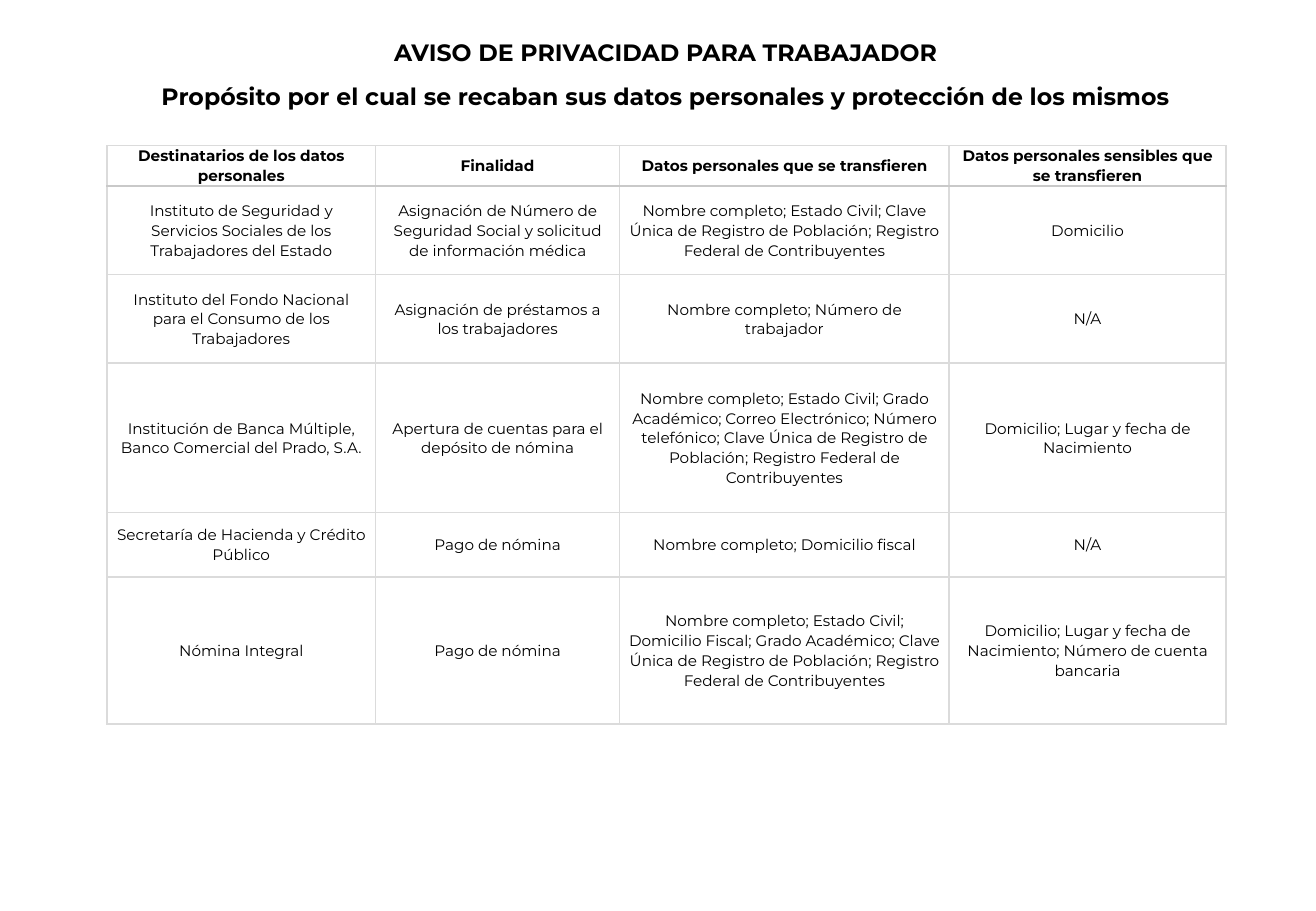
from dataclasses import dataclass

from lxml import etree
from pptx import Presentation
from pptx.dml.color import RGBColor
from pptx.enum.text import MSO_ANCHOR, MSO_AUTO_SIZE, PP_ALIGN
from pptx.oxml.ns import qn
from pptx.util import Inches, Pt

CENTER = PP_ALIGN.CENTER
MIDDLE = MSO_ANCHOR.MIDDLE
GROW = MSO_AUTO_SIZE.SHAPE_TO_FIT_TEXT


@dataclass(frozen=True)
class Theme:
    """Colours, font and type sizes of the slide."""
    font: str = "Montserrat"
    ink: str = "000000"
    grid: str = "DBDBDB"
    header_rule: str = "C9C9C9"
    title_size: float = 14
    table_size: float = 9
    grid_width: float = 1
    header_width: float = 1.5


THEME = Theme()

TITLES = [
    "AVISO DE PRIVACIDAD PARA TRABAJADOR",
    "Propósito por el cual se recaban sus datos personales y protección de los mismos",
]
COLUMN_WIDTHS = [2.21, 2.01, 2.71, 2.28]
ROW_HEIGHTS = [0.33, 0.73, 0.73, 1.23, 0.53, 1.21]
TRANSFERS = [
    ["Destinatarios de los datos personales",
     "Finalidad",
     "Datos personales que se transfieren",
     "Datos personales sensibles que se transfieren"],
    ["Instituto de Seguridad y Servicios Sociales de los Trabajadores del Estado",
     "Asignación de Número de Seguridad Social y solicitud de información médica",
     "Nombre completo; Estado Civil; Clave Única de Registro de Población; "
     "Registro Federal de Contribuyentes",
     "Domicilio"],
    ["Instituto del Fondo Nacional para el Consumo de los Trabajadores",
     "Asignación de préstamos a los trabajadores",
     "Nombre completo; Número de trabajador",
     "N/A"],
    ["Institución de Banca Múltiple, Banco Comercial del Prado, S.A.",
     "Apertura de cuentas para el depósito de nómina",
     "Nombre completo; Estado Civil; Grado Académico; Correo Electrónico; "
     "Número telefónico; Clave Única de Registro de Población; "
     "Registro Federal de Contribuyentes",
     "Domicilio; Lugar y fecha de Nacimiento"],
    ["Secretaría de Hacienda y Crédito Público",
     "Pago de nómina",
     "Nombre completo; Domicilio fiscal",
     "N/A"],
    ["Nómina Integral",
     "Pago de nómina",
     "Nombre completo; Estado Civil; Domicilio Fiscal; Grado Académico; "
     "Clave Única de Registro de Población; Registro Federal de Contribuyentes",
     "Domicilio; Lugar y fecha de Nacimiento; Número de cuenta bancaria"],
]


def apply_format(target, values):
    """Set each attribute of the target from a dict."""
    for name, value in values.items():
        setattr(target, name, value)


def write_para(para, text, size, bold):
    """Write one centred paragraph in the slide's font."""
    apply_format(para, {"alignment": CENTER, "line_spacing": 1.07, "space_after": Pt(8)})
    span = para.add_run()
    span.text = text
    apply_format(span.font, {"name": THEME.font, "size": Pt(size), "bold": bold})
    span.font.color.rgb = RGBColor.from_string(THEME.ink)


def add_titles(page):
    """Add the two title lines in one text box."""
    box = page.shapes.add_textbox(Inches(1.01), Inches(0.25), Inches(8.94), Inches(0.71))
    frame = box.text_frame
    apply_format(frame, {"word_wrap": True, "auto_size": GROW})
    for index, title in enumerate(TITLES):
        para = frame.add_paragraph() if index else frame.paragraphs[0]
        write_para(para, title, THEME.title_size, True)


def add_border(cell, side, color, width):
    """Draw a solid border on one side of a cell."""
    line = etree.SubElement(cell._tc.get_or_add_tcPr(), qn(f"a:ln{side}"), w=str(Pt(width)))
    fill = etree.SubElement(line, qn("a:solidFill"))
    etree.SubElement(fill, qn("a:srgbClr"), val=color)


def format_cell(cell, text, row):
    """Fill a cell with its text, insets and borders."""
    apply_format(cell, {
        "vertical_anchor": MIDDLE,
        "margin_left": Inches(0.07), "margin_right": Inches(0.07),
        "margin_top": 0, "margin_bottom": 0,
    })
    write_para(cell.text_frame.paragraphs[0], text, THEME.table_size, row == 0)
    for side in "LRTB":
        if (side, row) in (("B", 0), ("T", 1)):
            add_border(cell, side, THEME.header_rule, THEME.header_width)
        else:
            add_border(cell, side, THEME.grid, THEME.grid_width)
    cell.fill.background()


def add_transfer_table(page):
    """Add the table of data transfers."""
    frame = page.shapes.add_table(
        len(ROW_HEIGHTS), len(COLUMN_WIDTHS), Inches(0.88), Inches(1.2),
        Inches(sum(COLUMN_WIDTHS)), Inches(sum(ROW_HEIGHTS)))
    table = frame.table
    apply_format(table, {"first_row": True, "horz_banding": False})
    for column, width in zip(table.columns, COLUMN_WIDTHS):
        column.width = Inches(width)
    for row, height in enumerate(ROW_HEIGHTS):
        table.rows[row].height = Inches(height)
        for cell, text in zip(table.rows[row].cells, TRANSFERS[row]):
            format_cell(cell, text, row)


def main():
    """Build the slide and save it."""
    deck = Presentation()
    apply_format(deck, {"slide_width": Inches(10.83), "slide_height": Inches(7.5)})
    page = deck.slides.add_slide(deck.slide_layouts[6])
    add_titles(page)
    add_transfer_table(page)
    deck.save("out.pptx")


if __name__ == "__main__":
    main()
